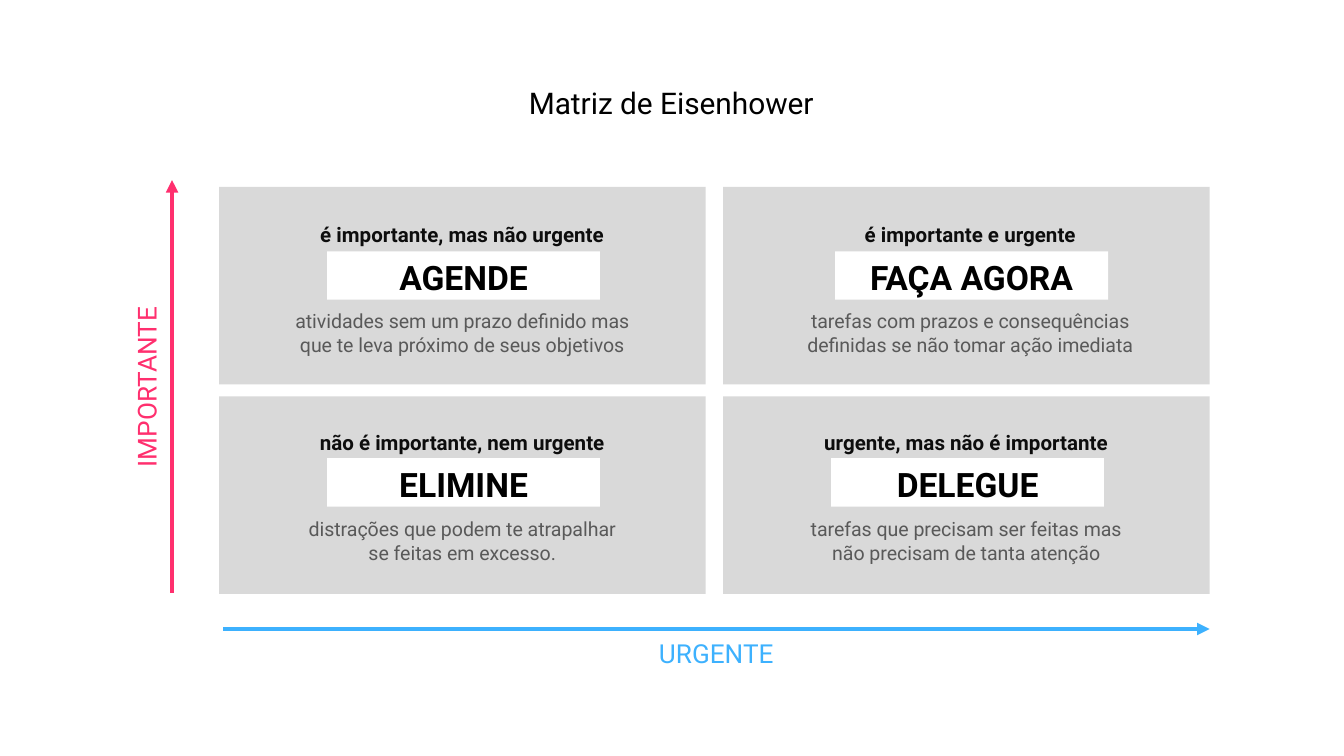
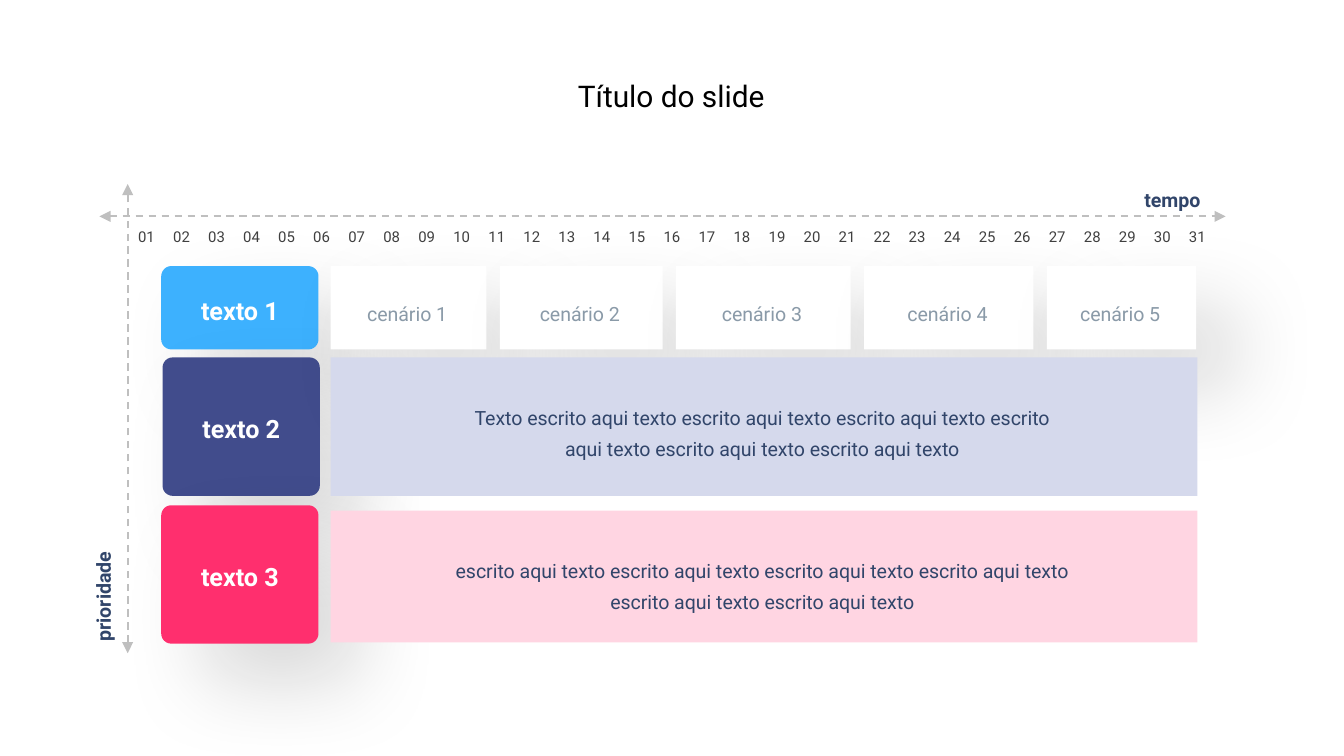
from dataclasses import dataclass

import pptx
import pptx.dml.color
import pptx.enum.dml
import pptx.enum.shapes
import pptx.enum.text
import pptx.oxml
import pptx.oxml.ns
import pptx.util

SHAPE = pptx.enum.shapes.MSO_SHAPE
ALIGN = pptx.enum.text.PP_ALIGN
ANCHOR = pptx.enum.text.MSO_ANCHOR
qn = pptx.oxml.ns.qn

# The slide is a grid of 100 columns by 56.25 rows of square cells
COLS, ROWS = 100, 56.25
CELL = pptx.util.Inches(10) / COLS
TIGHT = (0.2, 0.2, 0.2, 0.2)
TAG_INSET = (0.2, 0.4, 0.2, 0.2)
LOOSE = (1, 0.5, 1, 0.5)
DAY_INSET = (0.6, 0.3, 0.6, 0.3)


@dataclass(frozen=True)
class Theme:
    font: str = "Roboto"
    white: str = "FFFFFF"
    black: str = "000000"
    pink: str = "FF2F6E"
    blue: str = "3DB1FE"
    indigo: str = "414C8C"
    navy: str = "31456A"
    panel: str = "D9D9D9"
    axis: str = "BFBFBF"
    pale_indigo: str = "D5D9EC"
    pale_pink: str = "FFD5E2"
    # Text styles: size, colour, bold
    title: tuple = (16, "000000", False)
    important: tuple = (14, "FF2F6E", False)
    urgent: tuple = (14, "3DB1FE", False)
    caption: tuple = (11, "0D0D0D", True)
    tag: tuple = (18, "000000", True)
    detail: tuple = (10.5, "595959", False)
    day: tuple = (8, "404040", False)
    axis_name: tuple = (10.5, "31456A", True)
    card: tuple = (13.5, "FFFFFF", True)
    scenario: tuple = (10.5, "8A9AA8", False)
    body: tuple = (10.5, "31456A", False)


T = Theme()


def units(*lengths):
    return [pptx.util.Emu(round(n * CELL)) for n in lengths]


def rgb(color):
    return pptx.dml.color.RGBColor.from_string(color)


def add_xml(parent, xml, index=None):
    ns = pptx.oxml.ns.nsdecls("a")
    element = pptx.oxml.parse_xml(xml.replace("{ns}", ns))
    parent.insert(len(parent) if index is None else index, element)


# Text

def write(tf, text, style, align=ALIGN.CENTER, spacing=None):
    size, color, bold = style
    for i, line in enumerate(text.split("\n")):
        p = tf.paragraphs[0] if i == 0 else tf.add_paragraph()
        p.alignment = align
        if spacing:
            p.line_spacing = spacing
        r = p.add_run()
        r.text = line
        formats = {"name": T.font, "size": pptx.util.Pt(size), "bold": bold}
        for name, value in formats.items():
            setattr(r.font, name, value)
        r.font.color.rgb = rgb(color)


def frame(tf, inset, anchor=ANCHOR.TOP):
    left, top, right, bottom = units(*inset)
    formats = {
        "word_wrap": True, "vertical_anchor": anchor,
        "auto_size": pptx.enum.text.MSO_AUTO_SIZE.SHAPE_TO_FIT_TEXT,
        "margin_left": left, "margin_top": top,
        "margin_right": right, "margin_bottom": bottom,
    }
    for name, value in formats.items():
        setattr(tf, name, value)


def add_label(s, box, text, style, inset=LOOSE, rotation=0, **layout):
    sp = s.shapes.add_textbox(*units(*box))
    sp.rotation = rotation
    frame(sp.text_frame, inset)
    write(sp.text_frame, text, style, **layout)


def add_title(s, text, top):
    add_label(s, (37.1, top, 25.7, 3.1), text, T.title, TIGHT)


# Shapes and lines

def add_block(s, box, color, radius=None, shadow=False):
    kind = SHAPE.RECTANGLE if radius is None else SHAPE.ROUNDED_RECTANGLE
    sp = s.shapes.add_shape(kind, *units(*box))
    if radius is not None:
        sp.adjustments[0] = radius / min(box[2:])
    sp.fill.solid()
    sp.fill.fore_color.rgb = rgb(color)
    sp.line.fill.background()
    sp.shadow.inherit = False
    if shadow:
        blur, dist = pptx.util.Pt(45), pptx.util.Pt(31)
        add_xml(sp._element.spPr.find(qn("a:effectLst")),
                f'<a:outerShdw {{ns}} blurRad="{blur}" dist="{dist}" dir="2700000" '
                'algn="tl" rotWithShape="0"><a:srgbClr val="0D0D0D">'
                '<a:alpha val="14000"/></a:srgbClr></a:outerShdw>')
    return sp


def add_arrow(s, start, end, color, width, both_ways=False):
    cx = s.shapes.add_connector(pptx.enum.shapes.MSO_CONNECTOR.STRAIGHT,
                                *units(*start, *end))
    cx.line.color.rgb = rgb(color)
    cx.line.width = pptx.util.Pt(width)
    if both_ways:
        cx.line.dash_style = pptx.enum.dml.MSO_LINE.DASH
    ln = cx.line._get_or_add_ln()
    for side in ("head", "tail") if both_ways else ("tail",):
        add_xml(ln, f'<a:{side}End {{ns}} type="triangle"/>')
    add_xml(cx._element.spPr, "<a:effectLst {ns}/>")


# Slide 1 parts

def add_quadrant(s, col, row, caption, tag, detail, detail_width, shift=0):
    left, top = 16.3 + 37.5 * col, 13.9 + 15.6 * row
    add_block(s, (left, top, 36.2, 14.7), T.panel)
    caption_top, tag_top, detail_top = ((2.4, 4.8, 8.9), (2.3, 4.6, 8.8))[row]
    middle = left + 18.1 + shift

    def centred(dy, width, height):
        return middle - width / 2, top + dy, width, height

    add_label(s, centred(caption_top, 32.3, 2.3), caption, T.caption, TIGHT)
    sp = add_block(s, centred(tag_top, 20.3, 3.6), T.white)
    sp.left += units(0.1)[0]
    frame(sp.text_frame, TAG_INSET, ANCHOR.MIDDLE)
    write(sp.text_frame, tag, T.tag)
    add_label(s, centred(detail_top, detail_width, 4), detail, T.detail, TIGHT)


def build_matrix(s):
    # Axes
    add_arrow(s, (12.8, 44.1), (12.8, 13.4), T.pink, 2.25)
    add_label(s, (-0.6, 27.3, 23.2, 3), "IMPORTANTE", T.important, TIGHT, 270)
    add_arrow(s, (16.6, 46.8), (90, 46.8), T.blue, 2.25)
    add_label(s, (25.6, 47.2, 55.4, 3.2), "URGENTE", T.urgent, TIGHT)
    # Quadrants
    for quadrant in (
        (0, 1, "não é importante, nem urgente", "ELIMINE",
         "distrações que podem te atrapalhar\nse feitas em excesso.", 32.3),
        (1, 1, "urgente, mas não é importante", "DELEGUE",
         "tarefas que precisam ser feitas mas\nnão precisam de tanta atenção", 32.3),
        (1, 0, "é importante e urgente", "FAÇA AGORA",
         "tarefas com prazos e consequências definidas se não tomar ação imediata",
         29.1, 0.3),
        (0, 0, "é importante, mas não urgente", "AGENDE",
         "atividades sem um prazo definido mas que te leva próximo de seus objetivos",
         27.8),
    ):
        add_quadrant(s, *quadrant)
    add_title(s, "Matriz de Eisenhower", 6.1)


# Slide 2 parts

def add_days(s, box, count):
    table = s.shapes.add_table(1, count, *units(*box)).table
    table.first_row = table.horz_banding = False
    for day, cell in enumerate(table.rows[0].cells, 1):
        table.columns[day - 1].width = units(box[2] / count)[0]
        cell.fill.solid()
        cell.fill.fore_color.rgb = rgb(T.white)
        cell.vertical_anchor = ANCHOR.MIDDLE
        (cell.margin_left, cell.margin_top,
         cell.margin_right, cell.margin_bottom) = units(*DAY_INSET)
        write(cell.text_frame, f"{day:02}", T.day)
        tcPr = cell._tc.get_or_add_tcPr()
        for i, side in enumerate("LRTB"):
            add_xml(tcPr, f'<a:ln{side} {{ns}} w="12700"><a:solidFill>'
                    f'<a:srgbClr val="{T.white}"/></a:solidFill></a:ln{side}>', i)


def add_card(s, left, top, height, color, text):
    width, label_width, label_height = 11.7, 10.5, 3.3
    add_block(s, (left, top, width, height), color, 0.75, shadow=True)
    add_label(s, (left + (width - label_width) / 2,
                  top + (height - label_height) / 2 + 0.2,
                  label_width, label_height), text, T.card)


def add_scenario(s, left, top, width, text):
    add_block(s, (left, top, width, 6.2), T.white, 0, shadow=True)
    add_label(s, (left + 1.1, top + 2.2, width - 2.4, 2.8), text, T.scenario)


def add_band(s, left, top, height, color, text):
    add_block(s, (left, top, 64.5, height), color, 0)
    add_label(s, (left + 8.3, top + 2.6, 47.65, 5.5), text, T.body, spacing=1.3)


def build_roadmap(s):
    # Time scale and axes
    add_days(s, (9.6, 16.4, 80.8, 2.5), 31)
    add_arrow(s, (9.5, 48.6), (9.5, 13.7), T.axis, 1, both_ways=True)
    add_arrow(s, (7.4, 16.1), (91.2, 16.1), T.axis, 1, both_ways=True)
    add_label(s, (83.6, 13.5, 6.7, 2.8), "tempo", T.axis_name, align=ALIGN.RIGHT)
    add_label(s, (2.4, 42, 10.6, 2.8), "prioridade", T.axis_name,
              rotation=270, align=ALIGN.LEFT)
    # Priority cards
    add_card(s, 12, 19.8, 6.2, T.blue, "texto 1")
    add_card(s, 12.1, 26.6, 10.3, T.indigo, "texto 2")
    add_card(s, 12, 37.6, 10.3, T.pink, "texto 3")
    # Scenarios, one gap apart
    row_left, gap = 24.6, 1
    left = row_left
    for number, width in enumerate((11.6, 12.1, 13, 12.6, 11.1), 1):
        add_scenario(s, left, 19.8, width, f"cenário {number}")
        left += width + gap
    # Text bands
    phrase = "texto escrito aqui"
    add_band(s, row_left, 26.6, 10.3, T.pale_indigo,
             " ".join([phrase.capitalize()] + [phrase] * 5 + ["texto"]))
    add_band(s, row_left, 38, 9.8, T.pale_pink,
             " ".join(["escrito aqui"] + [phrase] * 5 + ["texto"]))
    add_title(s, "Título do slide", 5.6)


def main():
    prs = pptx.Presentation()
    prs.slide_width, prs.slide_height = units(COLS, ROWS)
    for build in (build_matrix, build_roadmap):
        build(prs.slides.add_slide(prs.slide_layouts[6]))
    prs.save("out.pptx")


if __name__ == "__main__":
    main()
